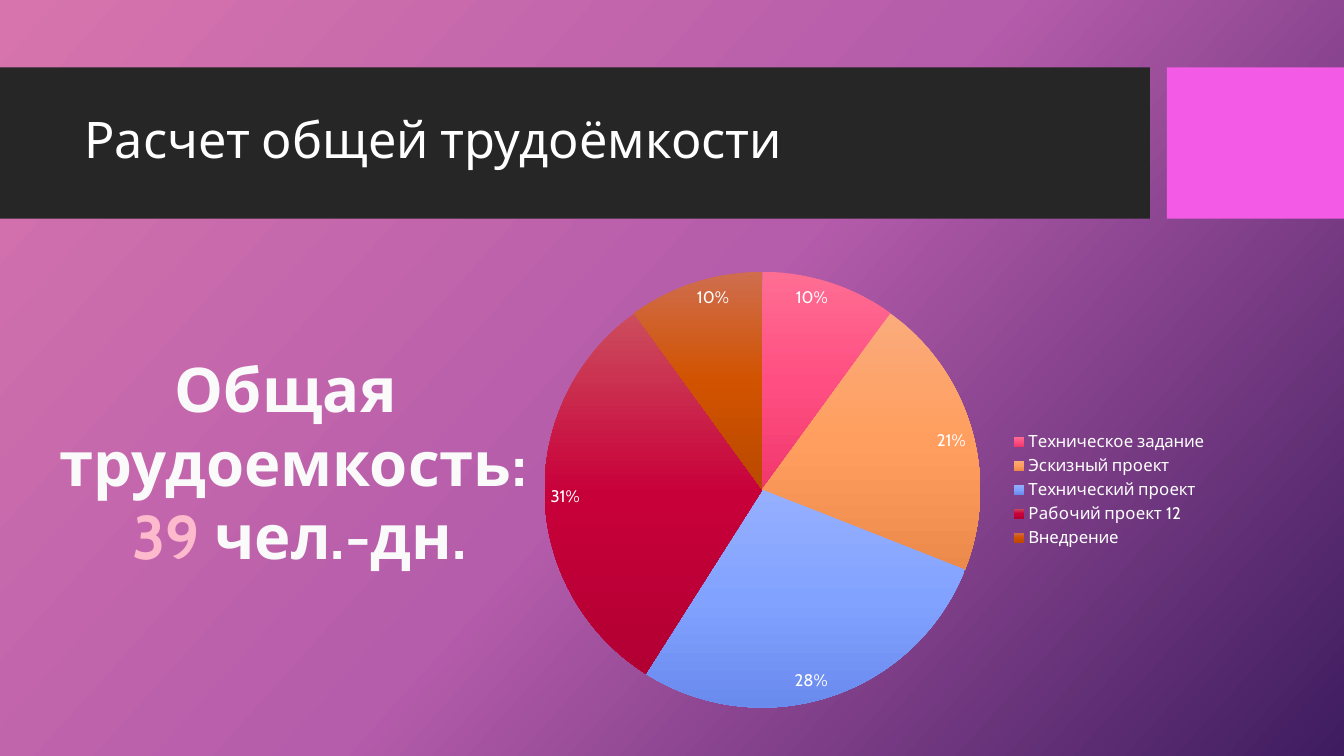
from copy import deepcopy

from pptx import Presentation
from pptx.chart.data import CategoryChartData
from pptx.dml.color import RGBColor
from pptx.enum.chart import XL_CHART_TYPE, XL_LABEL_POSITION, XL_LEGEND_POSITION
from pptx.enum.shapes import MSO_SHAPE
from pptx.enum.text import MSO_ANCHOR, PP_ALIGN
from pptx.oxml.ns import qn
from pptx.util import Cm, Pt

# Content
TITLE = "Расчет общей трудоёмкости"
FONT = "Cabin"
WHITE = RGBColor(0xFF, 0xFF, 0xFF)
SNOW = RGBColor(0xFA, 0xFA, 0xFA)
ROSE = RGBColor(0xFE, 0xBA, 0xCD)
CHARCOAL = RGBColor(0x26, 0x26, 0x26)
MAGENTA = RGBColor(0xF3, 0x5A, 0xE6)
BACKDROP = [RGBColor(0xD7, 0x74, 0xAD), RGBColor(0xB5, 0x5C, 0xAB), RGBColor(0x3E, 0x1C, 0x5F)]

TOTAL = [
    [("Общая ", SNOW)],
    [("трудоемкость:", SNOW)],
    [(" 39 ", ROSE), ("чел.-дн.", SNOW)],
]

# Stage, share in percent, gradient from top to bottom
STAGES = [
    ("Техническое задание ", 10,
     [RGBColor(0xFE, 0x6E, 0x93), RGBColor(0xFF, 0x4F, 0x82), RGBColor(0xF1, 0x38, 0x6D)]),
    ("Эскизный проект ", 21,
     [RGBColor(0xFB, 0xAB, 0x7C), RGBColor(0xFF, 0x9E, 0x5E), RGBColor(0xEB, 0x8A, 0x4B)]),
    ("Технический проект ", 28,
     [RGBColor(0x96, 0xB0, 0xFF), RGBColor(0x82, 0xA2, 0xFF), RGBColor(0x69, 0x8B, 0xEE)]),
    ("Рабочий проект 12", 31,
     [RGBColor(0xCC, 0x4D, 0x5D), RGBColor(0xC8, 0x00, 0x3A), RGBColor(0xB2, 0x00, 0x33)]),
    ("Внедрение", 10,
     [RGBColor(0xCF, 0x6D, 0x4E), RGBColor(0xD1, 0x53, 0x00), RGBColor(0xBA, 0x49, 0x00)]),
]

# Layout in centimetres
SLIDE_W, SLIDE_H = 33.87, 19.05
BAND_TOP, BAND_H, BAND_W, BAND_GAP = 1.7, 3.81, 28.98, 0.43


def style_font(font, size, color, bold=False):
    font.name = FONT
    font.size = Pt(size)
    font.bold = bold
    font.color.rgb = color


def add_text(slide, box, lines, size, bold=False, align=PP_ALIGN.LEFT,
             anchor=MSO_ANCHOR.TOP, spacing=1.0):
    frame = slide.shapes.add_textbox(*map(Cm, box)).text_frame
    frame.word_wrap = True
    frame.vertical_anchor = anchor
    for number, line in enumerate(lines):
        paragraph = frame.add_paragraph() if number else frame.paragraphs[0]
        paragraph.alignment = align
        paragraph.line_spacing = spacing
        for text, color in line:
            run = paragraph.add_run()
            run.text = text
            style_font(run.font, size, color, bold)


def add_band(slide, left, width, color):
    band = slide.shapes.add_shape(
        MSO_SHAPE.RECTANGLE, Cm(left), Cm(BAND_TOP), Cm(width), Cm(BAND_H))
    band.shadow.inherit = False
    band.fill.solid()
    band.fill.fore_color.rgb = color
    band.line.fill.background()


def paint_gradient(fill, root, colors, clockwise):
    """Turn the newest fill under root into an evenly spaced three-colour gradient."""
    fill.gradient()
    fill.gradient_angle = 360 - clockwise
    stop_list = list(root.iter(qn("a:gsLst")))[-1]
    stop_list.insert(1, deepcopy(stop_list[0]))
    for number, (stop, color) in enumerate(zip(fill.gradient_stops, colors)):
        stop.position = number / (len(colors) - 1)
        stop.color.rgb = color


def add_stage_pie(slide, box):
    data = CategoryChartData()
    data.categories = [name for name, _, _ in STAGES]
    data.add_series("Series 1", [share for _, share, _ in STAGES])
    chart = slide.shapes.add_chart(XL_CHART_TYPE.PIE, *map(Cm, box), data).chart
    chart.has_title = False
    style_font(chart.font, 10, WHITE)

    chart.has_legend = True
    chart.legend.position = XL_LEGEND_POSITION.RIGHT
    chart.legend.include_in_layout = False
    style_font(chart.legend.font, 12, WHITE)

    pie = chart.plots[0]
    pie.vary_by_categories = True
    for number, (_, _, colors) in enumerate(STAGES):
        sector = pie.series[0].points[number].format
        paint_gradient(sector.fill, chart.element, colors, 90)
        sector.line.fill.background()

    labels = pie.series[0].data_labels
    labels.show_percentage = True
    labels.show_value = False
    labels.number_format = "0%"
    labels.number_format_is_linked = False
    labels.position = XL_LABEL_POSITION.INSIDE_END
    style_font(labels.font, 12, WHITE)


def main():
    deck = Presentation()
    deck.slide_width, deck.slide_height = Cm(SLIDE_W), Cm(SLIDE_H)
    slide = deck.slides.add_slide(deck.slide_layouts[6])
    paint_gradient(slide.background.fill, slide.element, BACKDROP, 42)

    # Title band and accent block
    accent_left = BAND_W + BAND_GAP
    add_band(slide, 0, BAND_W, CHARCOAL)
    add_band(slide, accent_left, SLIDE_W - accent_left, MAGENTA)
    add_text(slide, (1.88, 2.08, 26.7, 3.0), [[(TITLE, WHITE)]], 36,
             anchor=MSO_ANCHOR.MIDDLE, spacing=0.9)

    # Shares by stage and the total
    add_stage_pie(slide, (13, 6.5, 17.8, 11.68))
    add_text(slide, (0, 8.71, 14.76, 5.89), TOTAL, 44, bold=True, align=PP_ALIGN.CENTER)

    deck.save("out.pptx")


if __name__ == "__main__":
    main()
